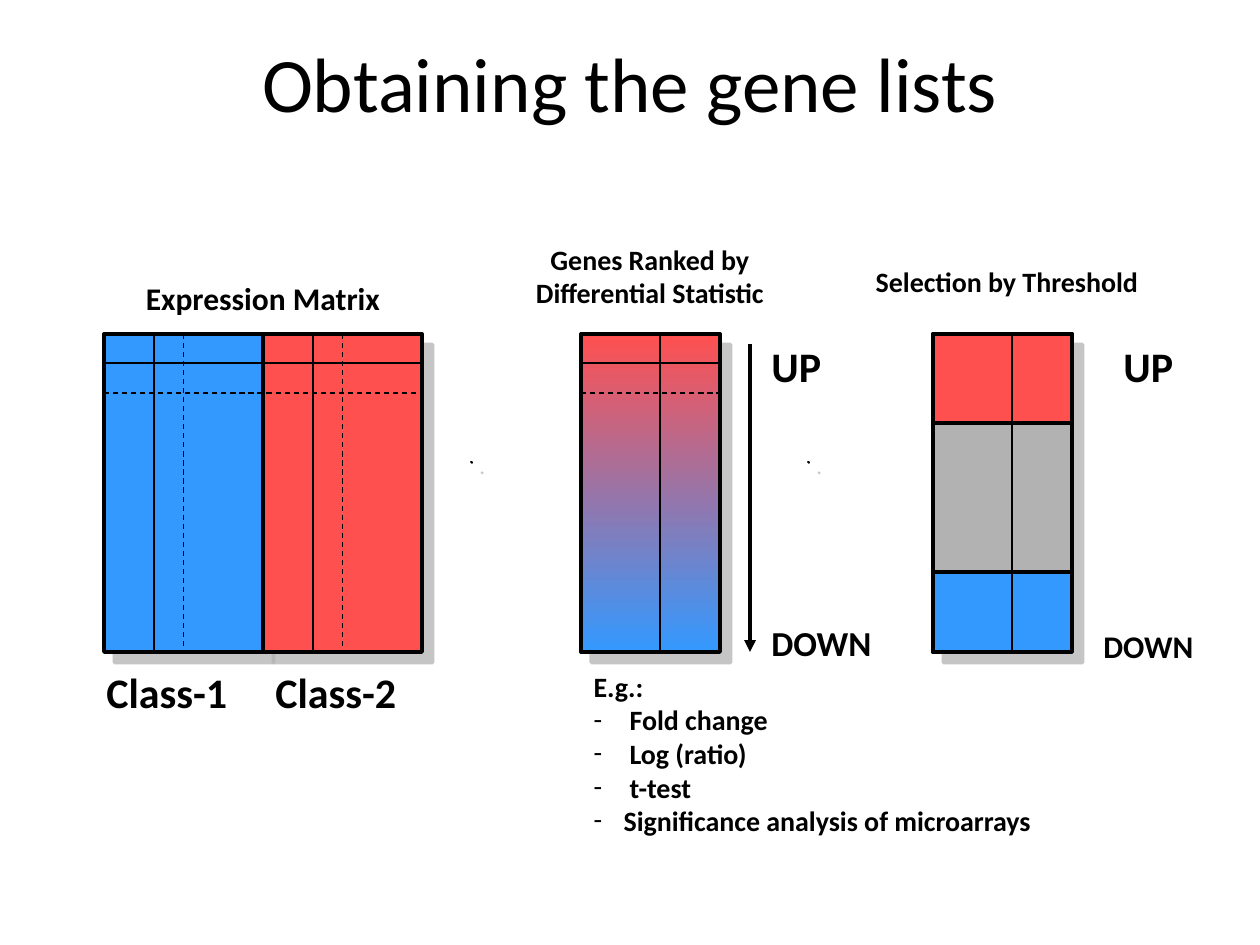
from lxml import etree
from pptx import Presentation
from pptx.dml.color import RGBColor
from pptx.enum.dml import MSO_LINE
from pptx.enum.shapes import MSO_CONNECTOR, MSO_SHAPE
from pptx.enum.text import MSO_ANCHOR, MSO_AUTO_SIZE, PP_ALIGN
from pptx.oxml.ns import qn
from pptx.util import Pt

PX = 914400 / 126
BLACK, WHITE, GRAY = "000000", "FFFFFF", "B2B2B2"
BLUE, RED, YELLOW = "3399FF", "FF5050", "FFFF29"
TOP, HEIGHT = 334, 318
BOTTOM = TOP + HEIGHT


def px(length):
    return round(length * PX)


def color(hex_code):
    return RGBColor.from_string(hex_code)


def add_xml(parent, tag, **attributes):
    return etree.SubElement(parent, qn(tag), **attributes)


class SlideBuilder:
    font_name = "Calibri"

    def __init__(self, slide):
        self.slide = slide
        self.shapes = slide.shapes

    def style_font(self, paragraph, size, bold=True):
        font = paragraph.font
        font.name, font.size, font.bold = self.font_name, Pt(size), bold
        font.color.rgb = color(BLACK)

    def place(self, shape, left, top, width, height):
        shape.left, shape.top = px(left), px(top)
        shape.width, shape.height = px(width), px(height)

    def title(self, text, *box):
        title = self.shapes.title
        self.place(title, *box)
        title.text_frame.text = text
        title.text_frame.vertical_anchor = MSO_ANCHOR.MIDDLE
        paragraph = title.text_frame.paragraphs[0]
        paragraph.alignment = PP_ALIGN.CENTER
        self.style_font(paragraph, 44, bold=False)

    def bullet_list(self, heading, items, size, *box):
        """Items are (text, indent) pairs below a heading without a bullet."""
        body = self.slide.placeholders[1]
        self.place(body, *box)
        body.fill.solid()
        body.fill.fore_color.rgb = color(WHITE)
        frame = body.text_frame
        frame.auto_size = MSO_AUTO_SIZE.NONE
        frame.text = "\n".join([heading] + [text for text, _ in items])
        indents = [0] + [indent for _, indent in items]
        for paragraph, indent in zip(frame.paragraphs, indents):
            paragraph.space_before = Pt(0)
            properties = paragraph._p.get_or_add_pPr()
            properties.set("marL", str(px(indent)))
            properties.set("indent", str(-px(indent)))
            if indent:
                bullet_color = add_xml(properties, "a:buClr")
                add_xml(bullet_color, "a:srgbClr", val=BLACK)
                add_xml(properties, "a:buFont", typeface=self.font_name)
                add_xml(properties, "a:buChar", char="-")
            else:
                add_xml(properties, "a:buNone")
            self.style_font(paragraph, size)

    def label(self, text, size, left, top, width, height, centered=False):
        box = self.shapes.add_textbox(px(left), px(top), px(width), px(height))
        box.text_frame.word_wrap = True
        box.text_frame.text = text
        for paragraph in box.text_frame.paragraphs:
            paragraph.alignment = PP_ALIGN.CENTER if centered else PP_ALIGN.LEFT
            self.style_font(paragraph, size)

    def outline(self, shape, width, shadow):
        shape.line.color.rgb = color(BLACK)
        shape.line.width = Pt(width)
        shape.shadow.inherit = False
        if shadow:
            effects = shape._element.spPr.find(qn("a:effectLst"))
            outer = add_xml(effects, "a:outerShdw", blurRad="0", dist=str(Pt(8.5)),
                            dir="2700000", algn="ctr", rotWithShape="0")
            shade = add_xml(outer, "a:srgbClr", val=GRAY)
            add_xml(shade, "a:alpha", val="75000")

    def block(self, fills, left, top, width, height, shadow=True):
        """One fill gives a plain block, two a gradient from top to bottom."""
        block = self.shapes.add_shape(MSO_SHAPE.RECTANGLE, px(left), px(top), px(width), px(height))
        if len(fills) == 1:
            block.fill.solid()
            block.fill.fore_color.rgb = color(fills[0])
        else:
            block.fill.gradient()
            block.fill.gradient_angle = 270
            for position, (stop, fill) in enumerate(zip(block.fill.gradient_stops, fills)):
                stop.position = position
                stop.color.rgb = color(fill)
        self.outline(block, 2.25, shadow)
        return block

    def dot(self, left, top):
        builder = self.shapes.build_freeform(left, top, scale=PX)
        builder.add_line_segments([(left + 1, top), (left + 1, top + 1)], close=True)
        dot = builder.convert_to_shape()
        dot.fill.solid()
        dot.fill.fore_color.rgb = color(YELLOW)
        self.outline(dot, 1, shadow=True)

    def line(self, x1, y1, x2, y2, width=0.75, dashed=False, arrow=False):
        line = self.shapes.add_connector(MSO_CONNECTOR.STRAIGHT, px(x1), px(y1), px(x2), px(y2))
        line.line.color.rgb = color(BLACK)
        line.line.width = Pt(width)
        if dashed:
            line.line.dash_style = MSO_LINE.DASH
        if arrow:
            add_xml(line.line._get_or_add_ln(), "a:tailEnd", type="triangle")
        add_xml(line._element.spPr, "a:effectLst")
        return line

    def gene_rows(self, left, right):
        self.line(left, 363, right, 363)
        self.line(left, 393, right, 393, dashed=True)


def main():
    presentation = Presentation()
    presentation.slide_width, presentation.slide_height = px(1260), px(945)
    builder = SlideBuilder(presentation.slides.add_slide(presentation.slide_layouts[1]))
    builder.title("Obtaining the gene lists", 63, 38, 1134, 88)

    # Expression matrix: two classes side by side
    class_width = 159
    classes = [("Class-1", BLUE, 104, 94), ("Class-2", RED, 263, 263)]
    blocks = [builder.block([fill], left, TOP, class_width, HEIGHT)
              for _, fill, left, _ in classes]
    for block, (name, _, left, label_left) in zip(blocks, classes):
        builder.line(left + 50, TOP, left + 50, BOTTOM)
        middle = left + class_width // 2
        center_line = builder.line(middle, TOP, middle, BOTTOM, dashed=True)
        center_line.begin_connect(block, 0)
        center_line.end_connect(block, 2)
        builder.label(name, 24, label_left, 660, class_width, 63)
    builder.gene_rows(104, 422)
    builder.label("Expression Matrix", 18, 104, 273, 318, 50, centered=True)

    # Dots between the stages
    for left in (471, 808):
        builder.dot(left, 462)

    # Ranked genes, from up to down
    builder.label("Genes Ranked by\nDifferential Statistic", 16, 491, 236, 318, 79, centered=True)
    builder.block([RED, BLUE], 581, TOP, 139, HEIGHT)
    builder.line(660, TOP, 660, BOTTOM)
    builder.gene_rows(581, 720)
    builder.line(750, 344, 750, BOTTOM, width=2.25, arrow=True)
    builder.label("UP", 24, 759, TOP, 79, 63)
    builder.label("DOWN", 20, 759, 615, 139, 54)
    statistics = [("Fold change", 36), ("Log (ratio)", 36), ("t-test", 36),
                  ("Significance analysis of microarrays", 30)]
    builder.bullet_list("E.g.:", statistics, 16, 581, 663, 512, 180)

    # Genes selected at both ends of the ranking
    builder.label("Selection by Threshold", 16, 848, 258, 318, 45, centered=True)
    builder.block([GRAY], 933, TOP, 139, HEIGHT)
    builder.block([RED], 933, TOP, 139, 89, shadow=False)
    builder.block([BLUE], 933, 572, 139, 80, shadow=False)
    builder.line(1012, TOP, 1012, BOTTOM)
    builder.label("UP", 24, 1111, TOP, 79, 63)
    builder.label("DOWN", 18, 1091, 621, 126, 50)

    presentation.save("out.pptx")


if __name__ == "__main__":
    main()
